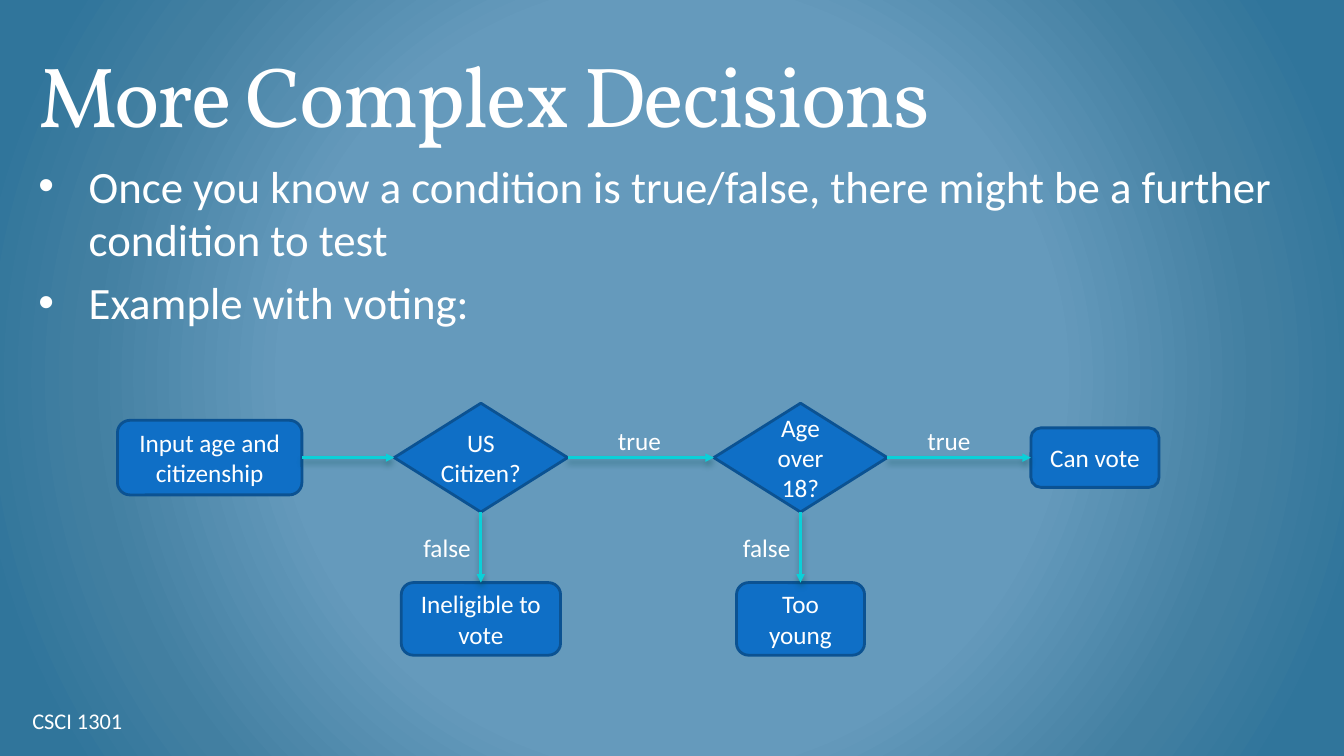
"""Build a slide with a flow chart of nested voting decisions."""
from dataclasses import dataclass

from pptx import Presentation
from pptx.dml.color import RGBColor
from pptx.enum.shapes import MSO_CONNECTOR, MSO_SHAPE
from pptx.enum.text import MSO_ANCHOR, MSO_AUTO_SIZE, PP_ALIGN
from pptx.oxml import parse_xml
from pptx.oxml.ns import nsdecls
from pptx.util import Inches, Pt

BOX = MSO_SHAPE.ROUNDED_RECTANGLE
TEST = MSO_SHAPE.FLOWCHART_DECISION
LINE = MSO_CONNECTOR.STRAIGHT
LEFT, CENTER = PP_ALIGN.LEFT, PP_ALIGN.CENTER
TOP, MIDDLE, BOTTOM = MSO_ANCHOR.TOP, MSO_ANCHOR.MIDDLE, MSO_ANCHOR.BOTTOM
FIXED, GROW = MSO_AUTO_SIZE.NONE, MSO_AUTO_SIZE.SHAPE_TO_FIT_TEXT
DOWN, RIGHT = (2, 0), (3, 1)


@dataclass(frozen=True)
class Theme:
    text: str = "FFFFFF"
    fill: str = "0F6FC6"
    edge: str = "0B5292"
    arrow: str = "0BD0D9"
    shade: str = "024B4E"
    glow: tuple = ((50, "659ABC"), (76, "427FA1"), (92, "30759B"))
    serif: str = "Vollkorn"
    sans: str = "Calibri"
    title: int = 61
    body: int = 32
    label: int = 18
    foot: int = 16
    line: int = 2


class Deck:
    def __init__(self, theme):
        self.theme = theme
        self.file = Presentation()
        self.file.slide_width = Inches(13.33)
        self.file.slide_height = Inches(7.5)
        self.slide = self.file.slides.add_slide(self.file.slide_layouts[1])
        self.shapes = self.slide.shapes

    def backdrop(self):
        stops = "".join(
            f'<a:gs pos="{pos * 1000}"><a:srgbClr val="{color}"/></a:gs>'
            for pos, color in self.theme.glow)
        self.slide.element.cSld.insert(0, parse_xml(
            f'<p:bg {nsdecls("p", "a")}><p:bgPr><a:gradFill rotWithShape="1">'
            f'<a:gsLst>{stops}</a:gsLst><a:path path="circle">'
            '<a:fillToRect l="50000" t="50000" r="50000" b="50000"/></a:path>'
            '</a:gradFill><a:effectLst/></p:bgPr></p:bg>'))

    def frame(self, shape, anchor, insets, fit=FIXED, wrap=True):
        frame = shape.text_frame
        frame.auto_size = fit
        frame.word_wrap = wrap
        frame.vertical_anchor = anchor
        (frame.margin_left, frame.margin_top,
         frame.margin_right, frame.margin_bottom) = map(Inches, insets)
        return frame

    def add_text(self, para, text, size, font=None, align=LEFT):
        para.alignment = align
        run = para.add_run()
        run.text = text
        run.font.size = Pt(size)
        run.font.name = font or self.theme.sans
        run.font.color.rgb = RGBColor.from_string(self.theme.text)
        return run

    def place(self, shape, left, top, width, height):
        shape.left, shape.top = Inches(left), Inches(top)
        shape.width, shape.height = Inches(width), Inches(height)

    def title(self, text, *area):
        shape = self.shapes.title
        self.place(shape, *area)
        frame = self.frame(shape, BOTTOM, (0.13, 0.07, 0.13, 0.07))
        para = frame.paragraphs[0]
        para.line_spacing = Pt(77.3)
        run = self.add_text(para, text, self.theme.title, self.theme.serif)
        run.font._element.set("spc", "-130")

    def points(self, items, *area):
        shape = self.slide.placeholders[1]
        self.place(shape, *area)
        frame = self.frame(shape, TOP, (0.13, 0.07, 0.13, 0.07))
        for num, text in enumerate(items):
            para = frame.add_paragraph() if num else frame.paragraphs[0]
            self.add_text(para, text, self.theme.body)
            props = para._p.get_or_add_pPr()
            props.set("marL", str(Inches(0.5)))
            props.set("indent", str(-Inches(0.5)))

    def footer(self, text, *area):
        shape = self.shapes.add_textbox(*map(Inches, area))
        frame = self.frame(shape, MIDDLE, (0.07, 0.07, 0.13, 0.07))
        self.add_text(frame.paragraphs[0], text, self.theme.foot)

    def node(self, kind, text, mid_x, mid_y, width, height):
        shape = self.shapes.add_shape(
            kind, Inches(mid_x - width / 2), Inches(mid_y - height / 2),
            Inches(width), Inches(height))
        shape.shadow.inherit = False
        shape.fill.solid()
        shape.fill.fore_color.rgb = RGBColor.from_string(self.theme.fill)
        shape.line.color.rgb = RGBColor.from_string(self.theme.edge)
        shape.line.width = Pt(self.theme.line)
        side = 0 if kind == TEST else 0.1
        frame = self.frame(shape, MIDDLE, (side, 0.05, side, 0.05))
        self.add_text(frame.paragraphs[0], text, self.theme.label, align=CENTER)
        return shape

    def arrow(self, start, end, ports):
        link = self.shapes.add_connector(LINE, 0, 0, 0, 0)
        link.begin_connect(start, ports[0])
        link.end_connect(end, ports[1])
        link.line.color.rgb = RGBColor.from_string(self.theme.arrow)
        link.line.width = Pt(self.theme.line)
        link.line._get_or_add_ln().append(
            parse_xml(f'<a:tailEnd {nsdecls("a")} type="triangle"/>'))
        link._element.spPr.append(parse_xml(
            f'<a:effectLst {nsdecls("a")}><a:outerShdw blurRad="{Pt(4.5)}" '
            f'dist="{Pt(3)}" dir="5400000" rotWithShape="0">'
            f'<a:srgbClr val="{self.theme.shade}"><a:alpha val="48000"/>'
            '</a:srgbClr></a:outerShdw></a:effectLst>'))

    def label(self, text, *area):
        shape = self.shapes.add_textbox(*map(Inches, area))
        frame = self.frame(shape, TOP, (0.1, 0.05, 0.1, 0.05), GROW, False)
        self.add_text(frame.paragraphs[0], text, self.theme.label)


def main():
    deck = Deck(Theme())
    deck.backdrop()
    deck.title("More Complex Decisions", 0.25, 0.25, 12.83, 1.25)
    deck.points([
        "Once you know a condition is true/false, there might be a further "
        "condition to test",
        "Example with voting:",
    ], 0.25, 1.5, 12.83, 2.33)
    deck.footer("CSCI 1301", 0.25, 6.95, 4.15, 0.4)

    upper, lower = 4.54, 6.14
    first, second = 4.77, 7.94
    entry = deck.node(BOX, "Input age and citizenship", 2.08, upper, 1.83, 0.74)
    citizen = deck.node(TEST, "US Citizen?", first, upper, 1.72, 1.08)
    barred = deck.node(BOX, "Ineligible to vote", first, lower, 1.58, 0.72)
    age = deck.node(TEST, "Age over 18?", second, upper, 1.72, 1.08)
    young = deck.node(BOX, "Too young", second, lower, 1.27, 0.72)
    voter = deck.node(BOX, "Can vote", 10.86, upper, 1.27, 0.59)

    for start, end, ports in (
            (entry, citizen, RIGHT), (citizen, age, RIGHT),
            (citizen, barred, DOWN), (age, young, DOWN), (age, voter, RIGHT)):
        deck.arrow(start, end, ports)

    for mid in (first, second):
        deck.label("false", mid - 0.67, 5.23, 0.71, 0.4)
    for left in (6.03, 9.1):
        deck.label("true", left, 4.17, 0.65, 0.4)

    deck.file.save("out.pptx")


if __name__ == "__main__":
    main()
